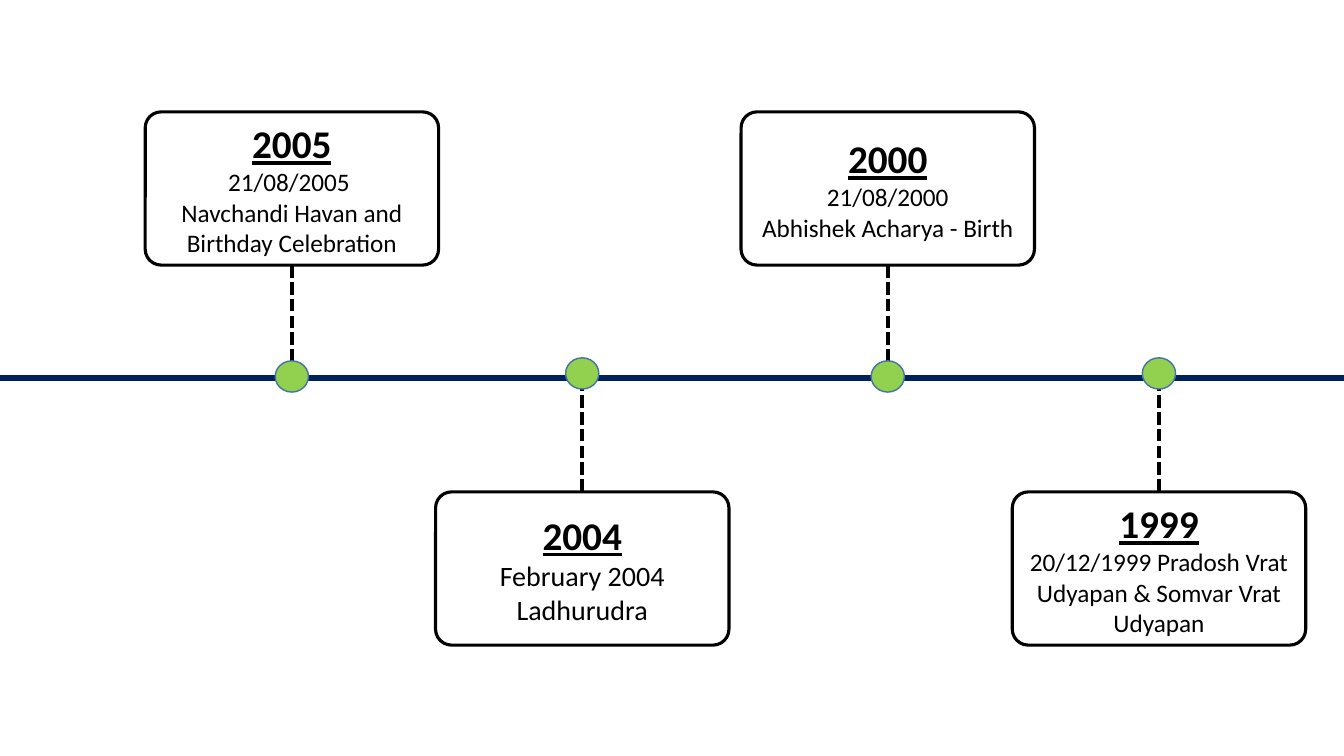
import pptx
import pptx.util
import pptx.dml.color
import pptx.enum.dml
import pptx.enum.shapes
import pptx.enum.text
import pptx.oxml.ns
import lxml.etree

Inches, Pt = pptx.util.Inches, pptx.util.Pt
SHAPES = pptx.enum.shapes.MSO_SHAPE
COLORS = {"axis": "002060", "ink": "000000", "marker": "92D050", "rim": "43739E"}
FONT = "Calibri"
PAGE_W, PAGE_H = 13.33, 7.5
AXIS_Y = PAGE_H / 2
CARD_W, CARD_H = 2.91, 1.52
TOP_ROW, BOTTOM_ROW = 1.11, 4.88
MARKER_W, MARKER_H = 0.33, 0.31

# Card left, card top, year, detail size, detail paragraphs
EVENTS = [
    (10.04, BOTTOM_ROW, "1999", 18, ["20/12/1999 Pradosh Vrat Udyapan & Somvar Vrat Udyapan"]),
    (7.35, TOP_ROW, "2000", 18, ["21/08/2000", "Abhishek Acharya - Birth"]),
    (4.32, BOTTOM_ROW, "2004", 20, ["February 2004 Ladhurudra"]),
    (1.44, TOP_ROW, "2005", 18, ["21/08/2005 ", "Navchandi Havan and Birthday Celebration"]),
]


def color(name):
    return pptx.dml.color.RGBColor.from_string(COLORS[name])


def add_line(page, start, end, ink, width, dash=None):
    line = page.shapes.add_connector(
        pptx.enum.shapes.MSO_CONNECTOR.STRAIGHT, *map(Inches, start + end))
    line.line.color.rgb = color(ink)
    line.line.width = Pt(width)
    if dash:
        line.line.dash_style = dash
    lxml.etree.SubElement(line._element.spPr, pptx.oxml.ns.qn("a:effectLst"))


def add_outlined(page, kind, box, ink, width):
    shape = page.shapes.add_shape(kind, *map(Inches, box))
    shape.shadow.inherit = False
    shape.line.color.rgb = color(ink)
    shape.line.width = Pt(width)
    return shape


def add_card(page, box, year, size, details):
    card = add_outlined(page, SHAPES.ROUNDED_RECTANGLE, box, "ink", 2.25)
    card.adjustments[0] = 0.104
    card.fill.background()
    frame = card.text_frame
    frame.word_wrap = True
    frame.vertical_anchor = pptx.enum.text.MSO_ANCHOR.MIDDLE
    for index, text in enumerate([year] + details):
        heading = index == 0
        para = frame.paragraphs[0] if heading else frame.add_paragraph()
        para.alignment = pptx.enum.text.PP_ALIGN.CENTER
        span = para.add_run()
        span.text = text
        span.font.name = FONT
        span.font.size = Pt(28 if heading else size)
        span.font.bold = span.font.underline = heading
        span.font.color.rgb = color("ink")


def add_event(page, box, year, size, details):
    left, top, width, height = box
    center = left + width / 2
    above = top < AXIS_Y
    add_card(page, box, year, size, details)

    # Dashed stem from the card to the axis
    edge = top + height if above else top
    add_line(page, (center, edge), (center, AXIS_Y), "ink", 3,
             pptx.enum.dml.MSO_LINE.SQUARE_DOT)

    # Round marker, set slightly toward the far side of the card's row
    marker_top = 3.58 if above else 3.55
    marker = add_outlined(page, SHAPES.OVAL,
                          (center - MARKER_W / 2, marker_top, MARKER_W, MARKER_H), "rim", 1)
    marker.fill.solid()
    marker.fill.fore_color.rgb = color("marker")


def add_timeline(page, box):
    left, top, width, height = box
    middle = top + height / 2
    add_line(page, (left, middle), (left + width, middle), "axis", 4.5)
    for card_left, card_top, year, size, details in EVENTS:
        add_event(page, (left + card_left, top + card_top, CARD_W, CARD_H),
                  year, size, details)


deck = pptx.Presentation()
deck.slide_width, deck.slide_height = Inches(PAGE_W), Inches(PAGE_H)
page = deck.slides.add_slide(deck.slide_layouts[6])
add_timeline(page, (0, 0, PAGE_W, PAGE_H))
deck.save("out.pptx")
